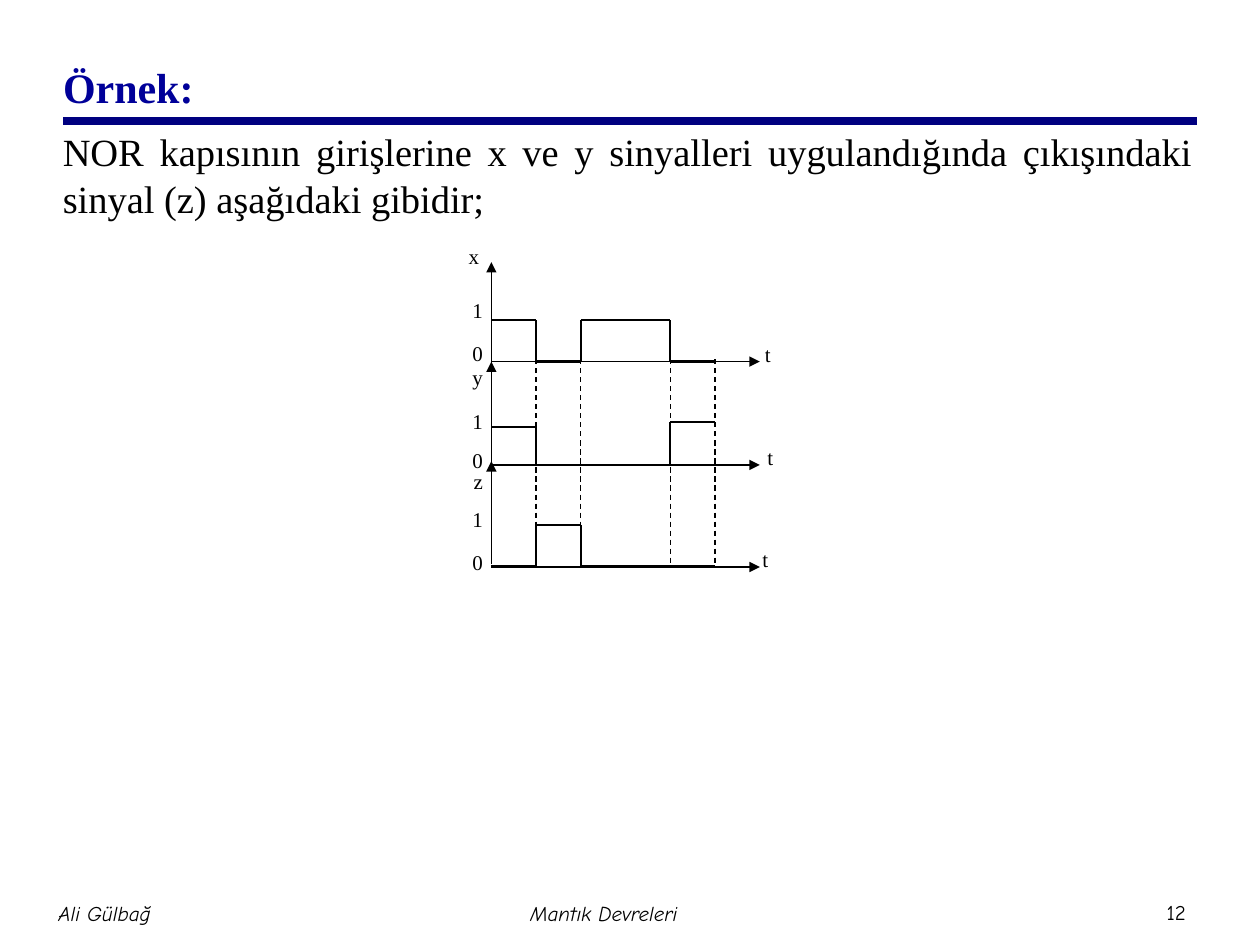
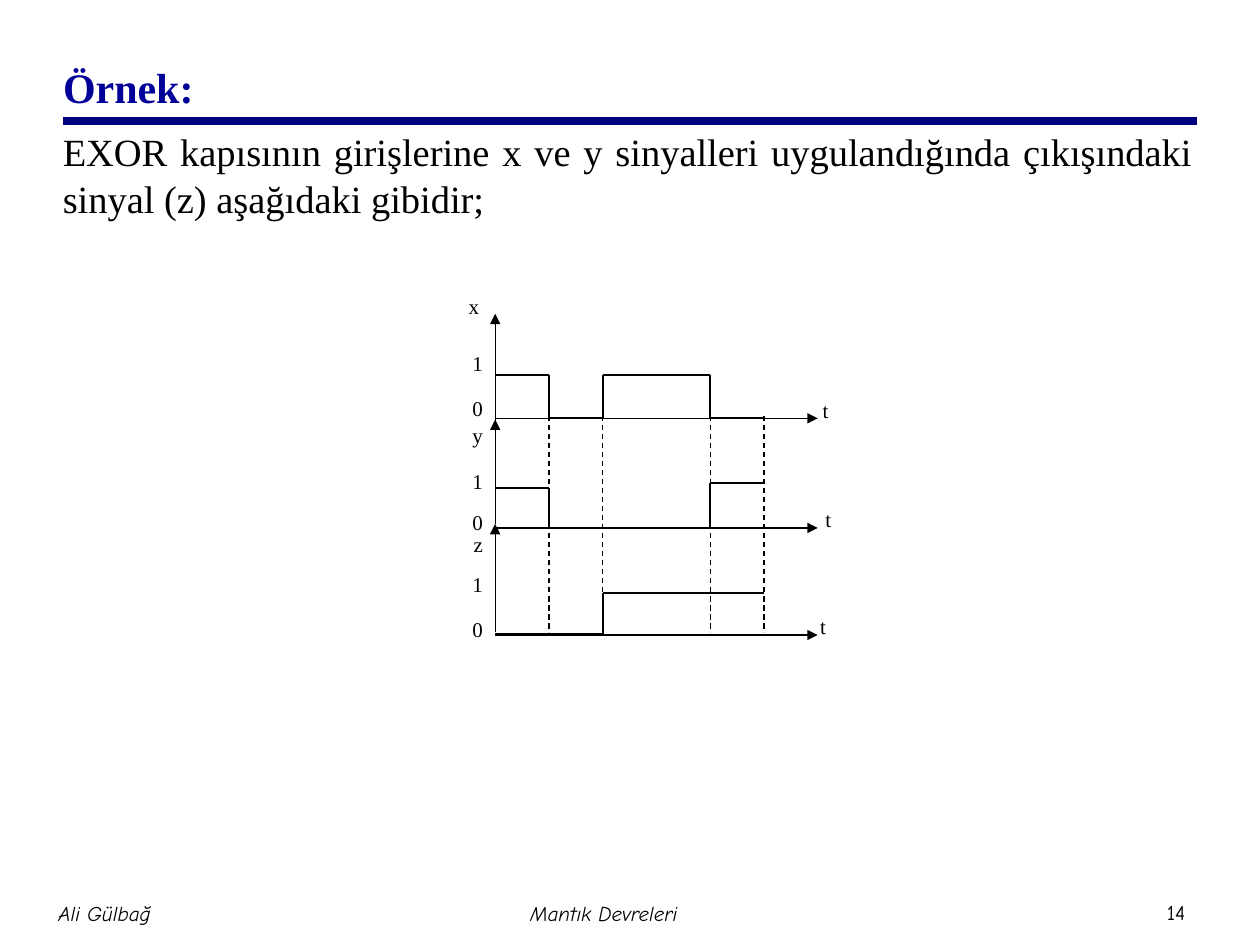
from dataclasses import dataclass
from itertools import pairwise

from pptx import Presentation
from pptx import util as u
from pptx.dml.color import RGBColor
from pptx.enum import dml, shapes, text
from pptx.oxml.ns import qn
from lxml import etree

COLS, ROWS = 10, 7.5
BLACK, NAVY, BLUE = "000000", "000080", "000099"
SERIF, COMIC = "Times New Roman", "Comic Neue"
LEFT, CENTER, JUST = text.PP_ALIGN.LEFT, text.PP_ALIGN.CENTER, text.PP_ALIGN.JUSTIFY
TOP, MID = text.MSO_ANCHOR.TOP, text.MSO_ANCHOR.MIDDLE
EDGES = (0, 1, 2, 4, 5)
SPAN = 6
DIGIT_COL = 3.75
X_HIGHS = (0.33, 0, 0.33, 0)
Y_HIGHS = (0.3, 0, 0, 0.34)


@dataclass(frozen=True)
class Box:
    col: float
    row: float
    wide: float
    high: float


@dataclass(frozen=True)
class Style:
    size: float
    font: str = SERIF
    color: str = BLACK
    bold: bool = False
    slant: bool = False
    align: int = LEFT
    anchor: int = TOP
    inset: tuple[float, float] = (0, 0)
    before: float = 0


@dataclass(frozen=True)
class Pen:
    width: float
    color: str = BLACK
    dash: bool = False
    arrow: bool = False


@dataclass(frozen=True)
class Wave:
    name: str
    col: float
    lifts: tuple[float, float, float]
    stem: tuple[float, float]
    gap: float


@dataclass(frozen=True)
class Plot:
    gate: str
    page: str
    left: float
    span: float
    rows: tuple[float, float, float]
    scale: float
    out: tuple[float, ...]


TITLE = Style(24, color=BLUE, bold=True, anchor=MID, inset=(0.1, 0.05))
BODY = Style(22, align=JUST, inset=(0.1, 0.05), before=4.4)
LABEL = Style(12)
NUMBER = Style(12, COMIC, align=CENTER, anchor=MID, inset=(0.05, 0.05))
FOOT = Style(12, COMIC, slant=True, align=CENTER, anchor=MID, inset=(0.05, 0.05))

RULE = Pen(4.5, NAVY)
AXIS = Pen(0.75, arrow=True)
GUIDE = Pen(0.75, dash=True)
SIGNAL = Pen(1.25)

WAVES = (
    Wave("x", 3.72, (0.94, 0.51, 0.17), (-0.8, 0.79), 0.04),
    Wave("y", 3.75, (0.8, 0.45, 0.14), (0.49, 0.82), 0.06),
    Wave("z", 3.76, (0.78, 0.48, 0.14), (0.02, 0.84), 0.02),
)
PLOTS = (
    Plot("NOR", "12", 3.9, 2.13, (2.87, 3.69, 4.5), 1, (0.01, 0.33, 0.01, 0.01)),
    Plot("EXOR", "14", 3.93, 2.56, (3.32, 4.19, 5.04), 1.05, (0.01, 0.01, 0.32, 0.32)),
)


def paint(code: str) -> RGBColor:
    return RGBColor.from_string(code)


def place(deck, *cells: float) -> list[int]:
    steps = deck.slide_width / COLS, deck.slide_height / ROWS
    return [round(cell * steps[i % 2]) for i, cell in enumerate(cells)]


def write(shape, words: str, style: Style) -> None:
    frame = shape.text_frame
    frame.text = words
    frame.word_wrap = True
    frame.auto_size = text.MSO_AUTO_SIZE.NONE
    frame.vertical_anchor = style.anchor
    side, edge = map(u.Inches, style.inset)
    frame.margin_left = frame.margin_right = side
    frame.margin_top = frame.margin_bottom = edge
    par = frame.paragraphs[0]
    par.alignment = style.align
    par.space_before = u.Pt(style.before)
    font = par.font
    font.name, font.size = style.font, u.Pt(style.size)
    font.bold, font.italic = style.bold, style.slant
    font.color.rgb = paint(style.color)


def put_text(deck, home, box: Box, words: str, style: Style) -> None:
    spot = place(deck, box.col, box.row, box.wide, box.high)
    write(home.shapes.add_textbox(*spot), words, style)


def put_line(deck, home, start: tuple[float, float], end: tuple[float, float], pen: Pen) -> None:
    line = home.shapes.add_connector(
        shapes.MSO_CONNECTOR.STRAIGHT, *place(deck, *start, *end))
    line.line.color.rgb = paint(pen.color)
    line.line.width = u.Pt(pen.width)
    if pen.dash:
        line.line.dash_style = dml.MSO_LINE.DASH
    props = line._element.spPr
    if pen.arrow:
        etree.SubElement(props.find(qn("a:ln")), qn("a:tailEnd"), type="triangle")
    etree.SubElement(props, qn("a:effectLst"))


def put_frame(deck, slide, page: str) -> None:
    put_line(deck, slide, (0.5, 0.96), (9.5, 0.96), RULE)
    put_text(deck, slide, Box(9.1, 7.09, 0.47, 0.3), page, NUMBER)
    for col, words in ((-0.96, "Ali Gülbağ"), (3.03, "Mantık Devreleri ")):
        put_text(deck, slide, Box(col, 7, 3.58, 0.5), words, FOOT)
    title = slide.shapes.title
    title.left, title.top, title.width, title.height = place(deck, 0.4, 0.26, 8.5, 0.86)
    write(title, "Örnek:", TITLE)


def put_wave(deck, home, plot: Plot, wave: Wave, base: float, highs: tuple[float, ...]) -> None:
    end = plot.left + plot.span
    cols = [plot.left + edge * plot.span / SPAN for edge in EDGES]
    levels = [base - high * plot.scale for high in highs]
    foot, tip = (base - rise * plot.scale for rise in wave.stem)
    put_line(deck, home, (plot.left, base), (end, base), AXIS)
    put_line(deck, home, (plot.left, foot), (plot.left, tip), AXIS)
    for (start, stop), level in zip(pairwise(cols), levels):
        put_line(deck, home, (start, level), (stop, level), SIGNAL)
    for col, (old, new) in zip(cols[1:], pairwise(levels)):
        if old != new:
            put_line(deck, home, (col, old), (col, new), SIGNAL)
    marks = zip((wave.name, "1", "0", "t"),
                (wave.col, DIGIT_COL, DIGIT_COL, end + wave.gap),
                (*wave.lifts, 0.16))
    for mark, col, lift in marks:
        box = Box(col, base - lift * plot.scale, 0.2, 0.34)
        put_text(deck, home, box, mark, LABEL)


def put_plot(deck, slide, plot: Plot) -> None:
    home = slide.shapes.add_group_shape()
    for wave, base, highs in zip(WAVES, plot.rows, (X_HIGHS, Y_HIGHS, plot.out)):
        put_wave(deck, home, plot, wave, base, highs)
    for edge in EDGES[1:]:
        col = plot.left + edge * plot.span / SPAN
        put_line(deck, home, (col, plot.rows[0] - 0.02), (col, plot.rows[-1] - 0.02), GUIDE)


def main() -> None:
    deck = Presentation()
    deck.slide_width, deck.slide_height = u.Inches(COLS), u.Inches(ROWS)
    for plot in PLOTS:
        slide = deck.slides.add_slide(deck.slide_layouts.get_by_name("Title Only"))
        put_frame(deck, slide, plot.page)
        put_text(deck, slide, Box(0.4, 0.97, 9.16, 5.55),
                 f"{plot.gate} kapısının girişlerine x ve y sinyalleri uygulandığında "
                 "çıkışındaki sinyal (z) aşağıdaki gibidir;", BODY)
        put_plot(deck, slide, plot)
    deck.save("out.pptx")


if __name__ == "__main__":
    main()
